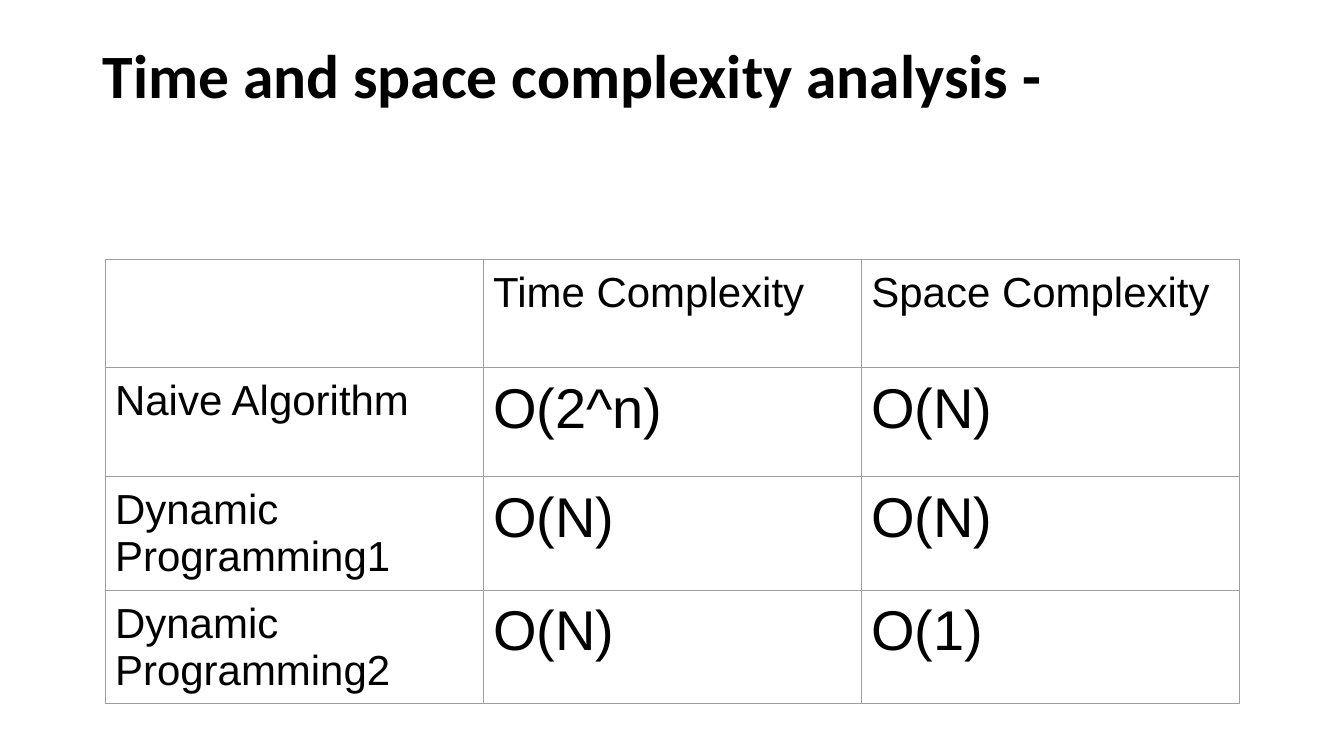
from lxml import etree
from pptx import Presentation
from pptx.dml.color import RGBColor
from pptx.enum.text import MSO_ANCHOR, PP_ALIGN
from pptx.oxml.ns import qn
from pptx.util import Cm, Pt

TOP, LEFT = MSO_ANCHOR.TOP, PP_ALIGN.LEFT
BLACK = RGBColor(0x00, 0x00, 0x00)
GREY = RGBColor(0x9E, 0x9E, 0x9E)
TITLE_ONLY = 5

ROWS = [
    ("", "Time Complexity", "Space Complexity"),
    ("Naive Algorithm", "O(2^n)", "O(N)"),
    ("Dynamic Programming1", "O(N)", "O(N)"),
    ("Dynamic\nProgramming2", "O(N)", "O(1)"),
]


class SlideBuilder:
    title_font, body_font = "Calibri", "Arial"
    title_size, label_size, value_size = Pt(44), Pt(30), Pt(40)
    cell_margin, border_width = Cm(0.25), Pt(0.75)

    def __init__(self, prs):
        self.slide = prs.slides.add_slide(prs.slide_layouts[TITLE_ONLY])

    def format_text(self, tf, font, size, bold=False):
        for p in tf.paragraphs:
            p.alignment = LEFT
            for r in p.runs:
                r.font.name, r.font.size, r.font.bold = font, size, bold
                r.font.color.rgb = BLACK

    def title(self, text, left, top, width, height):
        sp = self.slide.shapes.title
        sp.left, sp.top, sp.width, sp.height = left, top, width, height
        tf = sp.text_frame
        tf.text = text
        tf.word_wrap = True
        tf.vertical_anchor = TOP
        tf.paragraphs[0].line_spacing = 0.9
        self.format_text(tf, self.title_font, self.title_size, bold=True)

    def border(self, cell):
        tcPr = cell._tc.get_or_add_tcPr()
        for side in ("a:lnL", "a:lnR", "a:lnT", "a:lnB"):
            ln = etree.SubElement(tcPr, qn(side), w=str(self.border_width))
            fill = etree.SubElement(ln, qn("a:solidFill"))
            etree.SubElement(fill, qn("a:srgbClr"), val=str(GREY))

    def table(self, rows, left, top, col_width, row_height):
        n_rows, n_cols = len(rows), len(rows[0])
        table = self.slide.shapes.add_table(
            n_rows, n_cols, left, top, col_width * n_cols, row_height * n_rows).table
        table.first_row = table.horz_banding = False
        for i, row in enumerate(rows):
            for j, text in enumerate(row):
                cell = table.cell(i, j)
                self.border(cell)
                cell.fill.background()
                cell.margin_left = cell.margin_right = self.cell_margin
                cell.margin_top = cell.margin_bottom = self.cell_margin
                cell.vertical_anchor = TOP
                cell.text_frame.text = text
                is_value = i > 0 and j > 0
                size = self.value_size if is_value else self.label_size
                self.format_text(cell.text_frame, self.body_font, size)


prs = Presentation()
prs.slide_width, prs.slide_height = Cm(33.87), Cm(19.05)
s = SlideBuilder(prs)

# Heading
s.title("Time and space complexity analysis -", Cm(2.33), Cm(1.01), Cm(29.21), Cm(3.68))

# Complexity of each algorithm
s.table(ROWS, Cm(2.65), Cm(6.53), Cm(9.53), Cm(2.74))

prs.save("out.pptx")
